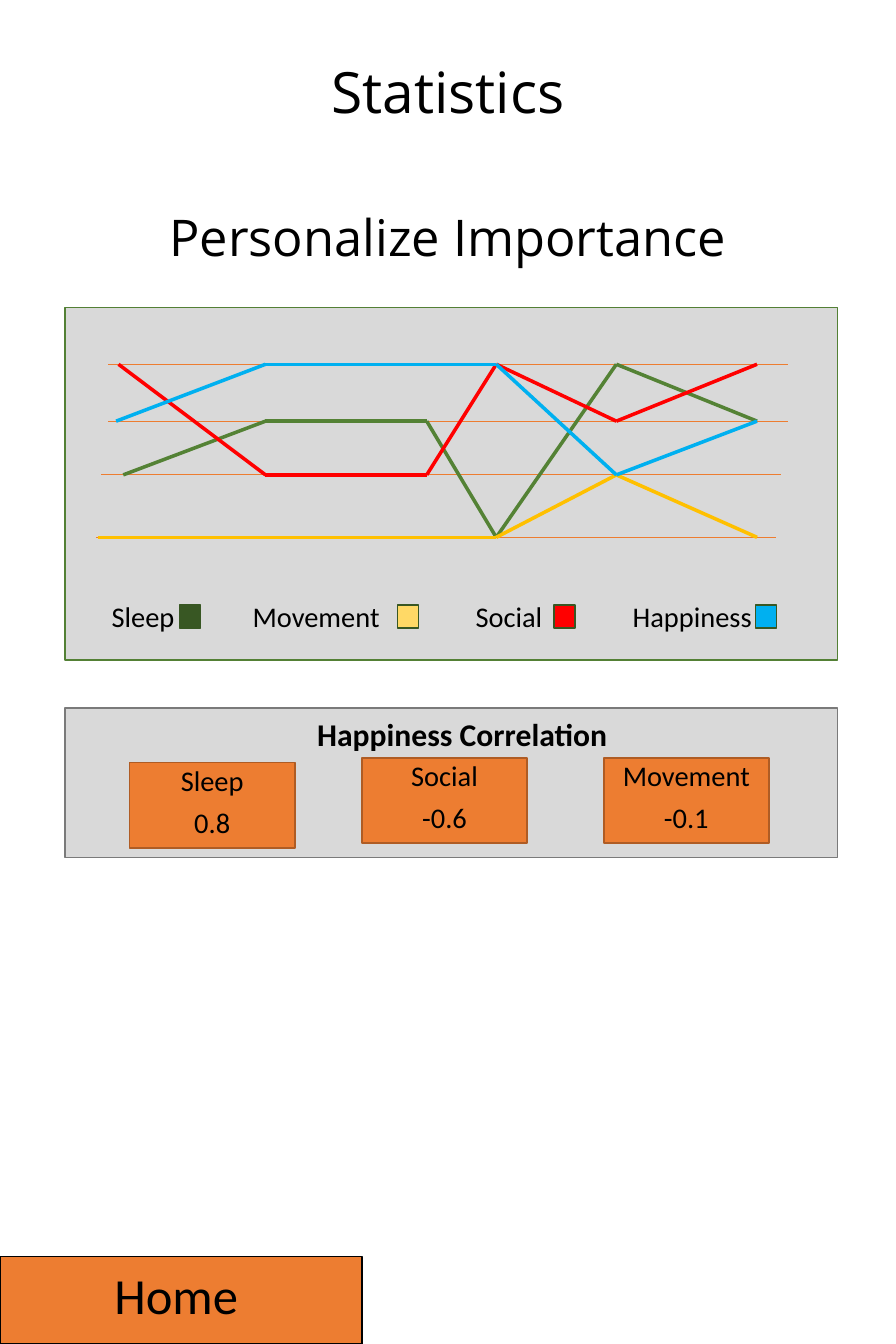
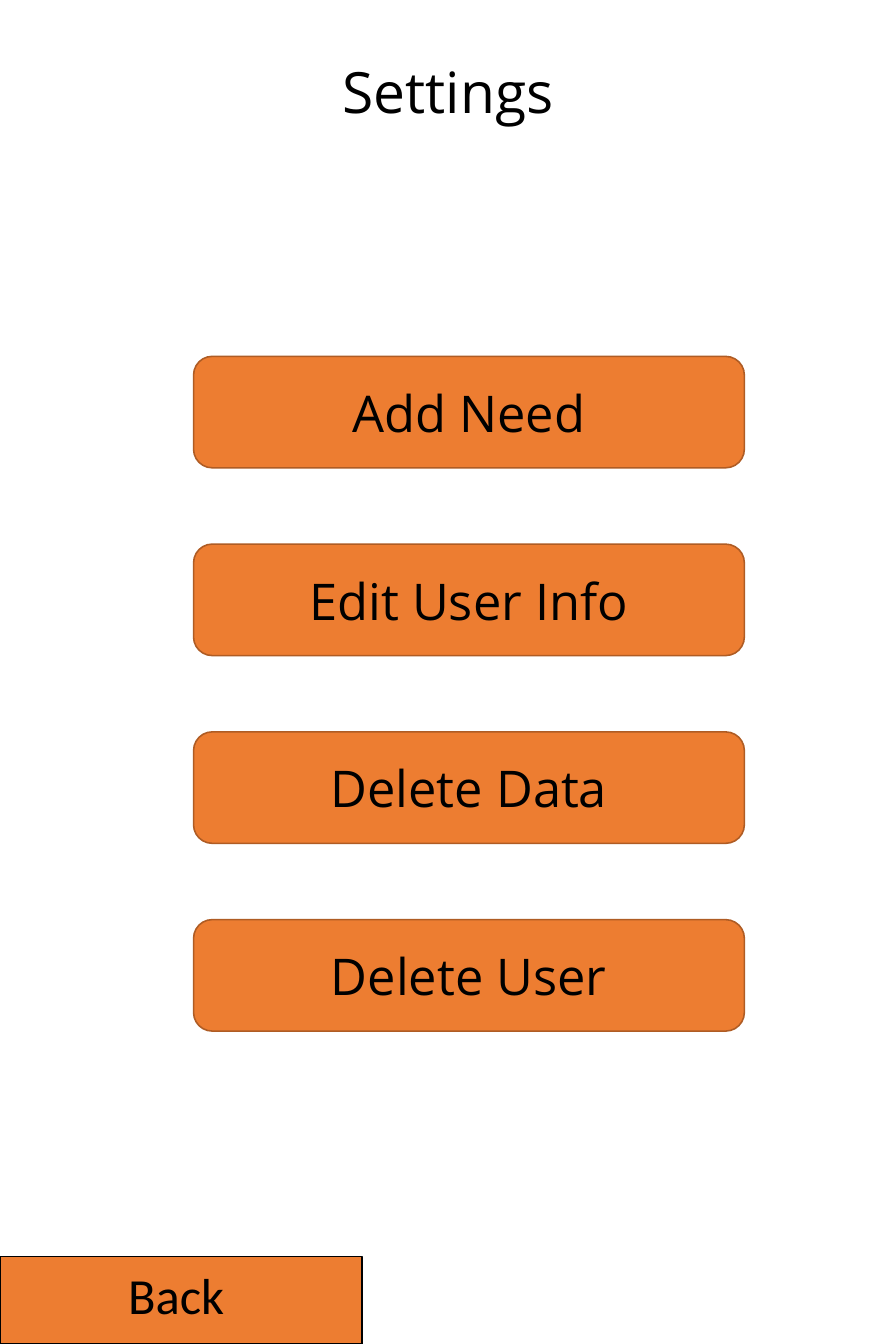
from dataclasses import dataclass
from itertools import pairwise

from lxml import etree
from pptx import Presentation
from pptx.dml.color import RGBColor
from pptx.enum.shapes import MSO_CONNECTOR, MSO_SHAPE
from pptx.enum.text import MSO_ANCHOR, MSO_AUTO_SIZE, PP_ALIGN
from pptx.oxml.ns import qn
from pptx.util import Pt

RECTANGLE, ROUNDED = MSO_SHAPE.RECTANGLE, MSO_SHAPE.ROUNDED_RECTANGLE
STRAIGHT = MSO_CONNECTOR.STRAIGHT
CENTER = PP_ALIGN.CENTER
TOP, MIDDLE = MSO_ANCHOR.TOP, MSO_ANCHOR.MIDDLE
TITLE_ONLY = 5


@dataclass(frozen=True)
class Theme:
    width: float = 566.93
    height: float = 850.39
    heading_font: str = "Open Sans"
    body_font: str = "Calibri"
    title_size: int = 36
    button_size: int = 32
    heading_size: int = 20
    label_size: int = 18
    black: str = "000000"
    orange: str = "ED7D31"
    brown: str = "AF5C24"
    panel: str = "D9D9D9"
    panel_line: str = "7A7A7A"
    chart_line: str = "538035"
    swatch_line: str = "385723"
    green: str = "548235"
    dark_green: str = "385723"
    yellow: str = "FFC000"
    light_yellow: str = "FFD966"
    red: str = "FF0000"
    blue: str = "00B0F0"


class Deck:
    def __init__(self, theme):
        self.theme = theme
        self.presentation = Presentation()
        self.presentation.slide_width = Pt(theme.width)
        self.presentation.slide_height = Pt(theme.height)
        self.slide = None

    def add_slide(self, title):
        layout = self.presentation.slide_layouts[TITLE_ONLY]
        self.slide = self.presentation.slides.add_slide(layout)
        placeholder = self.slide.shapes.title
        placeholder.left, placeholder.top = Pt(39), Pt(36.5)
        placeholder.width, placeholder.height = Pt(489), Pt(47.5)
        self.set_text(placeholder, [title], self.theme.title_size,
                      self.theme.heading_font, line_spacing=0.9)

    def set_text(self, shape, lines, size, font, bold=False, anchor=MIDDLE,
                 line_spacing=None, gap=0):
        frame = shape.text_frame
        frame.word_wrap = True
        frame.auto_size = MSO_AUTO_SIZE.NONE
        frame.vertical_anchor = anchor
        for index, line in enumerate(lines):
            paragraph = frame.add_paragraph() if index else frame.paragraphs[0]
            paragraph.alignment = CENTER
            paragraph.line_spacing = line_spacing
            paragraph.space_before = Pt(gap if index else 0)
            run = paragraph.add_run()
            run.text = line
            run.font.size = Pt(size)
            run.font.name = font
            run.font.bold = bold
            run.font.color.rgb = RGBColor.from_string(self.theme.black)

    def text(self, left, top, width, height, line, size, font, **style):
        box = self.slide.shapes.add_textbox(Pt(left), Pt(top), Pt(width), Pt(height))
        self.set_text(box, [line], size, font, **style)

    def box(self, left, top, width, height, fill, outline, kind=RECTANGLE):
        shape = self.slide.shapes.add_shape(
            kind, Pt(left), Pt(top), Pt(width), Pt(height))
        shape.shadow.inherit = False
        shape.fill.solid()
        shape.fill.fore_color.rgb = RGBColor.from_string(fill)
        shape.line.color.rgb = RGBColor.from_string(outline)
        shape.line.width = Pt(1)
        return shape

    def line(self, start, end, color, width):
        connector = self.slide.shapes.add_connector(
            STRAIGHT, *(Pt(value) for value in (*start, *end)))
        connector.line.color.rgb = RGBColor.from_string(color)
        connector.line.width = Pt(width)
        etree.SubElement(connector._element.spPr, qn("a:effectLst"))

    def polyline(self, points, color):
        for start, end in pairwise(points):
            self.line(start, end, color, 2.25)

    def card(self, left, top, label, value):
        shape = self.box(left, top, 104.5, 54, self.theme.orange, self.theme.brown)
        shape.text_frame.margin_top = Pt(0)
        self.set_text(shape, [label, value], self.theme.label_size,
                      self.theme.body_font, anchor=TOP, gap=5)

    def menu_button(self, top, label):
        shape = self.box(122.5, top, 348.5, 70.5, self.theme.orange,
                         self.theme.brown, ROUNDED)
        self.set_text(shape, [label], self.theme.button_size, self.theme.heading_font)

    def footer_button(self, label):
        top = 795
        shape = self.box(0, top, 229, self.theme.height - top,
                         self.theme.orange, self.theme.black)
        shape.text_frame.margin_right = Pt(13)
        shape.text_frame.margin_bottom = Pt(11)
        self.set_text(shape, [label], self.theme.button_size, self.theme.body_font)


theme = Theme()
deck = Deck(theme)

# Statistics
deck.add_slide("Statistics")
deck.text(39, 130.5, 489, 43, "Personalize Importance", theme.button_size,
          theme.heading_font, line_spacing=0.9)

# Line panel: four levels, numbered from the top
deck.box(41, 194.5, 489, 223, theme.panel, theme.chart_line)
levels = {1: 230.5, 2: 266.5, 3: 300.5, 4: 340}
for level, left in zip(levels, (68.5, 68.5, 64, 61)):
    y = levels[level]
    deck.line((left, y), (left + 430, y), theme.orange, 0.5)

# Each series: colour, first x, then a level per position (None is passed over)
later_positions = (168, 270, 314, 390, 479)
series = (
    (theme.green, 78, (3, 2, 2, 4, 1, 2)),
    (theme.yellow, 62, (4, None, None, 4, 3, 4)),
    (theme.red, 75, (1, 3, 3, 1, 2, 1)),
    (theme.blue, 73.5, (2, 1, None, 1, 3, 2)),
)
for color, first_x, scores in series:
    positions = (first_x, *later_positions)
    deck.polyline([(x, levels[score]) for x, score in zip(positions, scores)
                   if score], color)

# Legend: label, label centre, swatch left, swatch colour
legend = (
    ("Sleep", 90.5, 113.5, theme.dark_green),
    ("Movement", 200, 251.5, theme.light_yellow),
    ("Social", 322, 350.5, theme.red),
    ("Happiness", 438, 478, theme.blue),
)
for label, center, swatch_left, color in legend:
    deck.text(center - 50, 375.5, 100, 29, label, theme.label_size, theme.body_font)
    deck.box(swatch_left, 383, 13.5, 14.5, color, theme.swatch_line)

# Correlation panel
deck.box(41, 448, 489, 94.5, theme.panel, theme.panel_line)
deck.text(179, 448.5, 227, 31.5, "Happiness Correlation", theme.heading_size,
          theme.body_font, bold=True)
correlations = (
    (82, 482.5, "Sleep", "0.8"),
    (229, 479.5, "Social", "-0.6"),
    (382, 479.5, "Movement", "-0.1"),
)
for left, top, label, value in correlations:
    deck.card(left, top, label, value)
deck.footer_button("Home")

# Settings
deck.add_slide("Settings")
actions = ("Add Need", "Edit User Info", "Delete Data", "Delete User")
for row, action in enumerate(actions):
    deck.menu_button(225.5 + row * 118.8, action)
deck.footer_button("Back")

deck.presentation.save("out.pptx")
